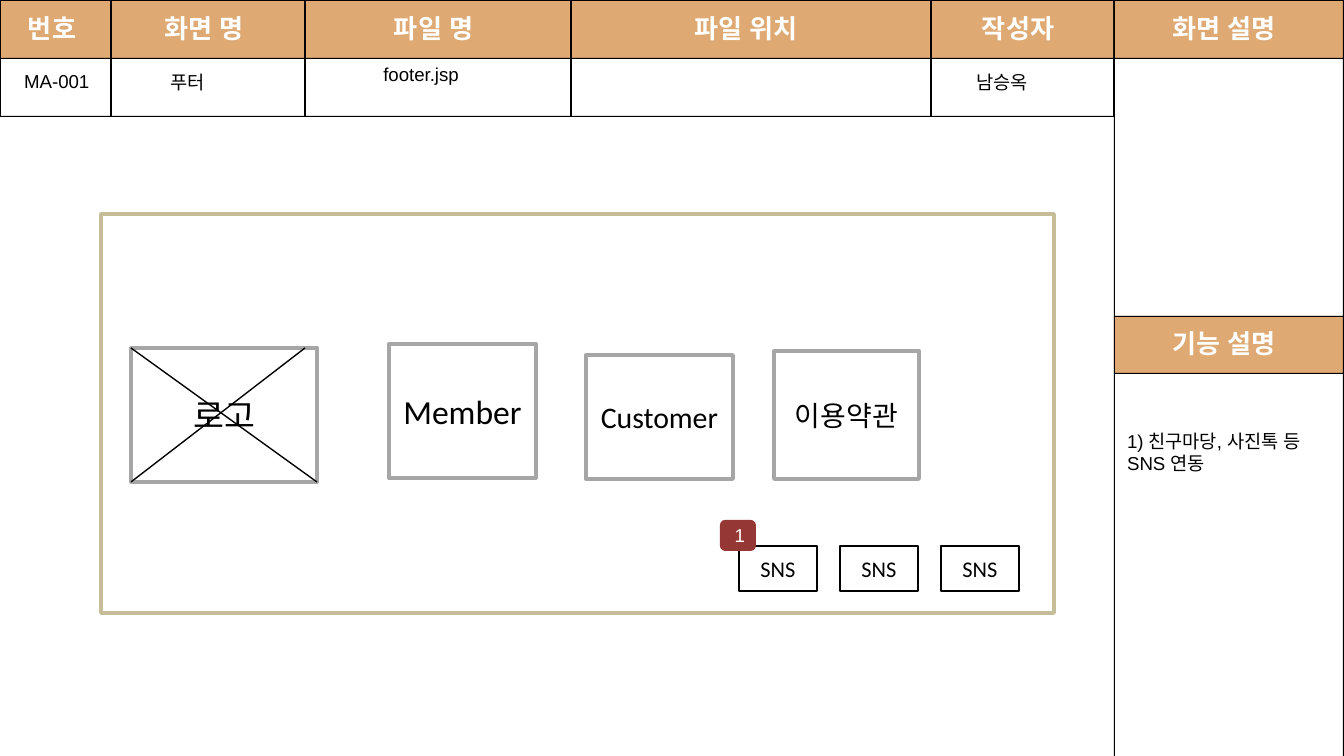
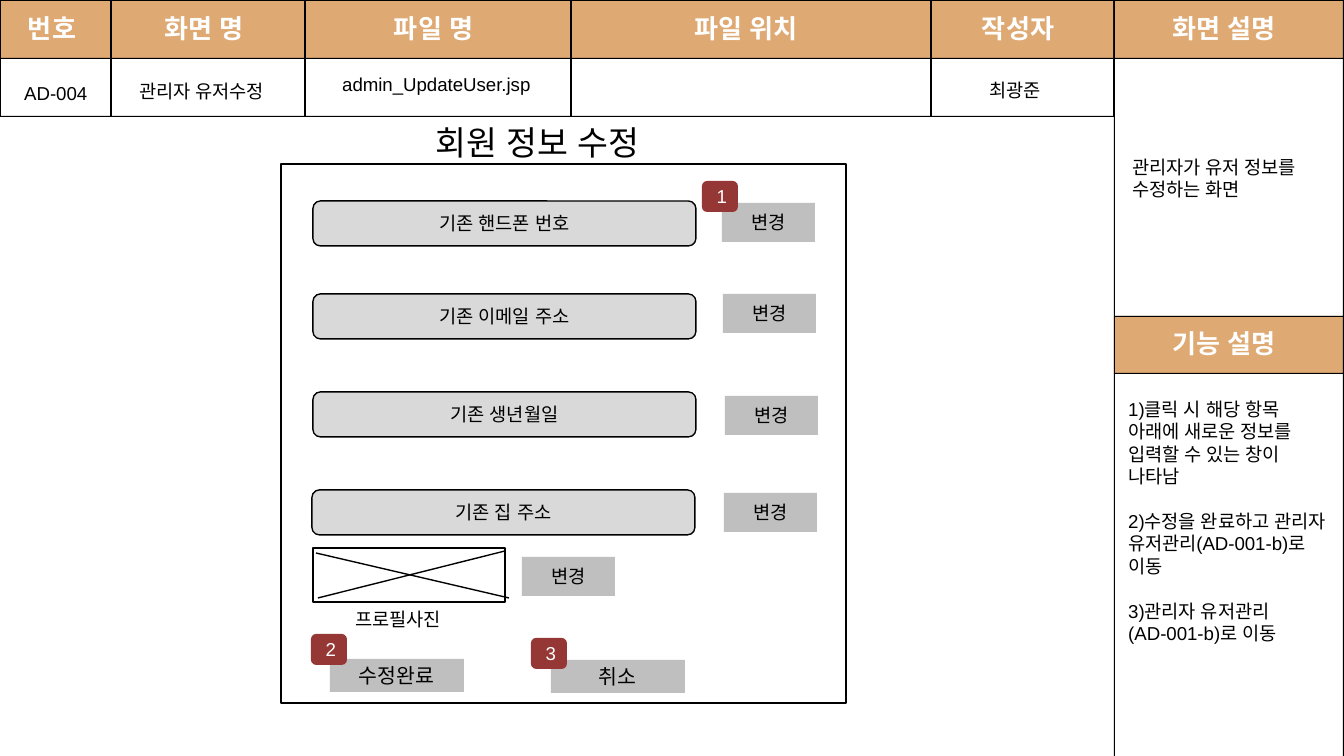
import pptx
import pptx.util
import pptx.dml.color
import pptx.enum.shapes
import pptx.enum.text
import pptx.oxml.ns
import lxml.etree

RGB = pptx.dml.color.RGBColor
KIND = pptx.enum.shapes.MSO_SHAPE
ALIGN = pptx.enum.text.PP_ALIGN
ANCHOR = pptx.enum.text.MSO_ANCHOR
FIT = pptx.enum.text.MSO_AUTO_SIZE

TAN = RGB(0xDE, 0xA9, 0x73)
KHAKI = RGB(0xC4, 0xBD, 0x97)
RED = RGB(0x95, 0x37, 0x35)
PALE = RGB(0xD9, 0xD9, 0xD9)
SILVER = RGB(0xBF, 0xBF, 0xBF)
GRAY = RGB(0xA6, 0xA6, 0xA6)
BLACK = RGB(0, 0, 0)
WHITE = RGB(0xFF, 0xFF, 0xFF)

SCALE = 914400 / 134.4
WIDE, HIGH = 1344, 756
SIDE = 1114  # left edge of the notes column
ROW = 58  # height of a header row
LOWER = 316  # top of the second notes heading


def px(count):
    return round(count * SCALE)


def write(frame, text, size=10, font="Calibri", color=BLACK, bold=False,
          align=ALIGN.LEFT, gap=0):
    """Put each line of text in its own paragraph, gap points apart."""
    frame.word_wrap = True
    for num, part in enumerate(text.split("\n")):
        para = frame.paragraphs[0] if num == 0 else frame.add_paragraph()
        para.alignment = align
        para.space_before = pptx.util.Pt(gap if num else 0)
        run = para.add_run()
        run.text = part
        run.font.size = pptx.util.Pt(size)
        run.font.bold = bold
        run.font.color.rgb = color
        run.font.name = font
        east = lxml.etree.SubElement(run.font._element,
                                     pptx.oxml.ns.qn("a:ea"))
        east.set("typeface", "Arial")


def label(slide, x, y, w, h, text, **style):
    box = slide.shapes.add_textbox(px(x), px(y), px(w), px(h))
    write(box.text_frame, text, **style)
    box.text_frame.auto_size = FIT.SHAPE_TO_FIT_TEXT


def paint(shape, fill=None, edge=None, weight=0.75):
    shape.shadow.inherit = False
    if fill is None:
        shape.fill.background()
    else:
        shape.fill.solid()
        shape.fill.fore_color.rgb = fill
    if edge is None:
        shape.line.fill.background()
    else:
        shape.line.color.rgb = edge
        shape.line.width = pptx.util.Pt(weight)


def block(slide, x, y, w, h, text="", fill=None, edge=None, weight=0.75,
          kind=KIND.RECTANGLE, **style):
    shape = slide.shapes.add_shape(kind, px(x), px(y), px(w), px(h))
    paint(shape, fill, edge, weight)
    if text:
        shape.text_frame.vertical_anchor = ANCHOR.MIDDLE
        write(shape.text_frame, text, align=ALIGN.CENTER, **style)


def trace(slide, paths, close=True, **look):
    """Draw several outlines as one freeform."""
    pen = slide.shapes.build_freeform(*paths[0][0], scale=SCALE)
    for num, path in enumerate(paths):
        if num:
            pen.move_to(*path[0])
        pen.add_line_segments(path[1:], close=close)
    paint(pen.convert_to_shape(), **look)


def strip(x1, y1, x2, y2):
    return [(x1, y1), (x2, y1), (x2, y2), (x1, y2)]


def rule(slide, x1, y1, x2, y2):
    line = slide.shapes.add_connector(
        pptx.enum.shapes.MSO_CONNECTOR.STRAIGHT,
        px(x1), px(y1), px(x2), px(y2))
    line.line.color.rgb = BLACK
    line.line.width = pptx.util.Pt(0.75)
    lxml.etree.SubElement(line._element.spPr,
                          pptx.oxml.ns.qn("a:effectLst"))


def badge(slide, x, y, num):
    block(slide, x, y, 36, 31, str(num), fill=RED, color=WHITE,
          font="Arial", kind=KIND.ROUNDED_RECTANGLE)


def button(slide, x, y, text="변경", w=93, h=39, size=10):
    block(slide, x, y, w, h, text, fill=SILVER, size=size)


def head(box, text, left=1):
    frame = box.text_frame
    frame.margin_left, frame.margin_top = px(left), px(1)
    frame.margin_right = frame.margin_bottom = 0
    frame.vertical_anchor = ANCHOR.TOP
    write(frame, text, size=14, font="Noto Sans CJK KR", color=WHITE,
          bold=True)
    frame.auto_size = FIT.SHAPE_TO_FIT_TEXT


def start(deck):
    """Add a slide with the header grid, notes column and title."""
    slide = deck.slides.add_slide(deck.slide_layouts[5])
    # Header grid
    trace(slide, [strip(0, 1, SIDE, ROW + 1)], fill=TAN)
    trace(slide, [[(x, 0), (x, 2 * ROW)]
                  for x in (0, 111, 305, 571, 931, SIDE)],
          close=False, edge=BLACK)
    trace(slide, [strip(0, y, SIDE + 1, y + 1)
                  for y in (0, ROW, 2 * ROW)], fill=BLACK)
    # Notes column
    trace(slide, [strip(SIDE, y, WIDE, y + ROW)
                  for y in (1, LOWER)], fill=TAN)
    trace(slide, [strip(x, 0, x + 1, HIGH) for x in (SIDE, WIDE - 1)]
          + [strip(SIDE + 1, y, WIDE - 1, y + 1)
             for y in (0, ROW, LOWER, LOWER + ROW - 1)], fill=BLACK)
    # Headings
    for text, x, y, w in (("번호", 27, 11, 57), ("화면 명", 163, 11, 90),
                          ("파일 명", 393, 11, 90), ("작성자", 981, 11, 82),
                          ("화면 설명", 1171, 11, 117),
                          ("기능 설명", 1171, 326, 117)):
        head(slide.shapes.add_textbox(px(x), px(y), px(w), px(35)), text)
    # Title, brought in front of its band
    title = slide.shapes.title
    title.left, title.top = px(535), px(11)
    title.width, title.height = px(290), px(35)
    head(title, "파일 위치", left=159)
    tree = title.element.getparent()
    tree.append(title.element)
    return slide


def footer(deck):
    slide = start(deck)
    # Header values
    label(slide, 11, 63, 102, 36, "MA-001", font="Arial")
    label(slide, 157, 64, 202, 36, "푸터")
    label(slide, 370, 56, 212, 36, "footer.jsp", font="Arial")
    label(slide, 963, 64, 145, 36, "남승옥", font="Arial")
    # Footer frame with its menu boxes
    block(slide, 101, 214, 953, 399, fill=WHITE, edge=KHAKI, weight=2)
    for text, x, y, w, h, size in (("로고", 131, 348, 186, 134, 18),
                                   ("Member", 389, 344, 147, 134, 18),
                                   ("Customer", 586, 355, 147, 124, 16),
                                   ("이용약관", 774, 351, 145, 128, 15)):
        block(slide, x, y, w, h, text, fill=WHITE, edge=GRAY, weight=2,
              size=size)
    rule(slide, 305, 348, 131, 482)
    rule(slide, 131, 348, 317, 482)
    # Social links
    for num in range(3):
        block(slide, 739 + 101 * num, 546, 78, 45, "SNS", fill=WHITE,
              edge=BLACK, weight=1, size=12)
    badge(slide, 720, 520, 1)
    # Function notes
    label(slide, SIDE, 423, 220, 60, "1) 친구마당, 사진톡 등 SNS 연동",
          font="Arial")


def update(deck):
    slide = start(deck)
    # Header values
    label(slide, 11, 75, 100, 36, "AD-004", font="Arial")
    label(slide, 126, 73, 191, 36, "관리자 유저수정", font="Arial")
    label(slide, 329, 66, 305, 36, "admin_UpdateUser.jsp", font="Arial")
    label(slide, 976, 72, 134, 36, "최광준", font="Arial")
    # Form frame
    block(slide, 281, 164, 565, 539, edge=BLACK)
    label(slide, 422, 115, 278, 54, "회원 정보 수정", size=18)
    # Fields and their buttons
    for text, x, y, bx, by in (("기존 핸드폰 번호", 313, 201, 722, 203),
                               ("기존 이메일 주소", 313, 294, 723, 294),
                               ("기존 생년월일", 313, 392, 725, 396),
                               ("기존 집 주소", 312, 490, 724, 493)):
        block(slide, x, y, 383, 45, text, fill=PALE, edge=BLACK,
              kind=KIND.ROUNDED_RECTANGLE)
        button(slide, bx, by)
    # Profile photo
    label(slide, 342, 601, 203, 36, "프로필사진")
    block(slide, 313, 548, 192, 54, fill=WHITE, edge=BLACK)
    rule(slide, 509, 598, 316, 553)
    rule(slide, 318, 598, 505, 551)
    button(slide, 522, 557)
    # Closing buttons and badges
    button(slide, 330, 659, "수정완료", w=134, h=33, size=11)
    button(slide, 551, 660, "취소", w=134, h=33, size=11)
    for num, (x, y) in enumerate(((702, 181), (311, 634), (531, 638)), 1):
        badge(slide, x, y, num)
    # Screen and function notes
    label(slide, 1119, 149, 224, 59, "관리자가 유저 정보를 수정하는 화면",
          font="Arial")
    label(slide, 1115, 391, 226, 262,
          "1)클릭 시 해당 항목 아래에 새로운 정보를 입력할 수 있는 창이 나타남\n"
          "2)수정을 완료하고 관리자 유저관리(AD-001-b)로 이동\n"
          "3)관리자 유저관리(AD-001-b)로 이동", font="Arial", gap=12)


def main():
    deck = pptx.Presentation()
    deck.slide_width, deck.slide_height = px(WIDE), px(HIGH)
    footer(deck)
    update(deck)
    deck.save("out.pptx")


if __name__ == "__main__":
    main()
